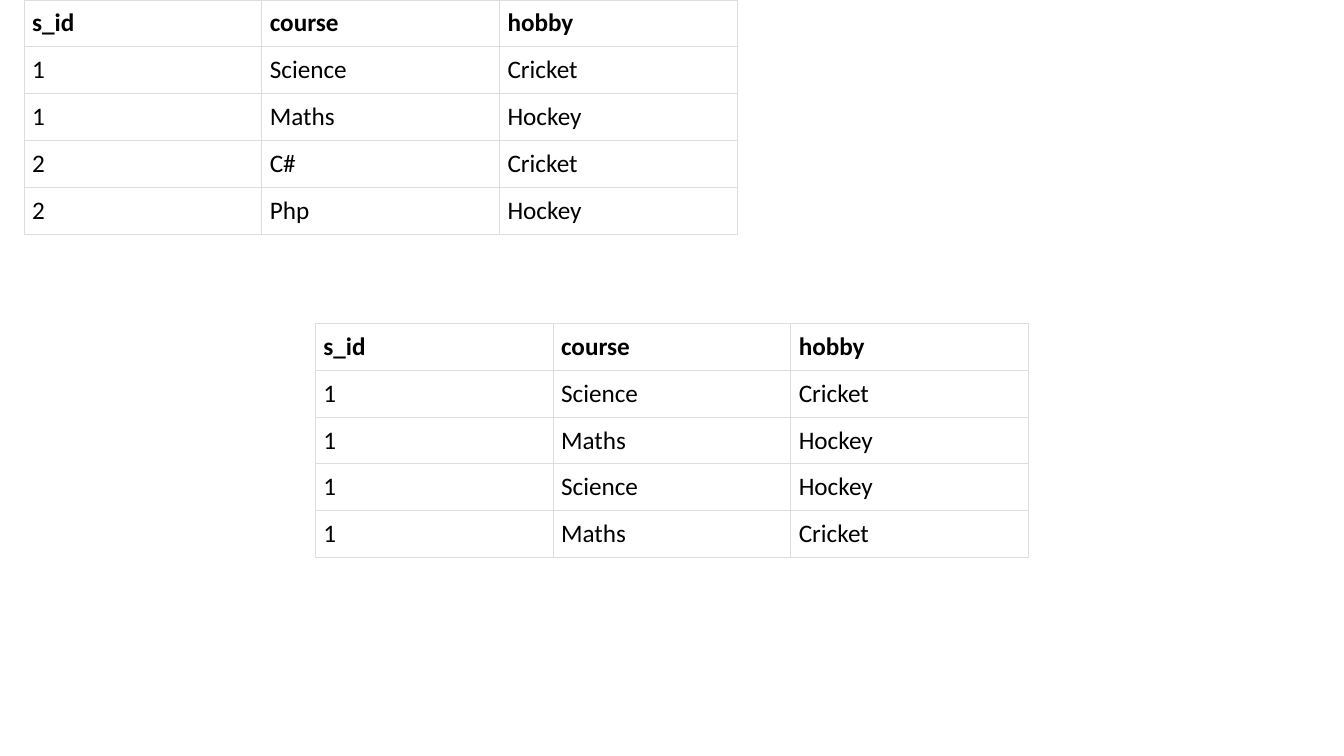
import pptx
import pptx.dml.color
import pptx.oxml.ns
import pptx.util
import lxml.etree

Cm = pptx.util.Cm
Pt = pptx.util.Pt
BLACK = pptx.dml.color.RGBColor(0x00, 0x00, 0x00)
WHITE = pptx.dml.color.RGBColor(0xFF, 0xFF, 0xFF)
BORDER_GRAY = pptx.dml.color.RGBColor(0xDD, 0xDD, 0xDD)

COLUMN_WIDTH = Cm(5.99)
ROW_HEIGHT = Cm(1.18)
CELL_MARGIN = Cm(0.2)

HEADER = ("s_id", "course", "hobby")
STORED_ROWS = (
    ("1", "Science", "Cricket"),
    ("1", "Maths", "Hockey"),
    ("2", "C#", "Cricket"),
    ("2", "Php", "Hockey"),
)
COMBINED_ROWS = (
    ("1", "Science", "Cricket"),
    ("1", "Maths", "Hockey"),
    ("1", "Science", "Hockey"),
    ("1", "Maths", "Cricket"),
)


def add_borders(cell):
    qn = pptx.oxml.ns.qn
    properties = cell._tc.get_or_add_tcPr()
    for side in ("a:lnL", "a:lnR", "a:lnT", "a:lnB"):
        line = lxml.etree.SubElement(properties, qn(side), w=str(Pt(0.75)))
        fill = lxml.etree.SubElement(line, qn("a:solidFill"))
        lxml.etree.SubElement(fill, qn("a:srgbClr"), val=str(BORDER_GRAY))


def fill_cell(cell, text, bold):
    add_borders(cell)
    cell.fill.solid()
    cell.fill.fore_color.rgb = WHITE
    cell.margin_left = cell.margin_right = CELL_MARGIN
    cell.margin_top = cell.margin_bottom = CELL_MARGIN
    run = cell.text_frame.paragraphs[0].add_run()
    run.text = text
    run.font.name = "Calibri"
    run.font.size = Pt(18)
    run.font.bold = bold
    run.font.color.rgb = BLACK


def add_course_table(slide, left, top, body_rows):
    rows = (HEADER, *body_rows)
    frame = slide.shapes.add_table(
        len(rows), len(HEADER), left, top,
        COLUMN_WIDTH * len(HEADER), ROW_HEIGHT * len(rows))
    table = frame.table
    table.horz_banding = False
    for column in table.columns:
        column.width = COLUMN_WIDTH
    for row_index, values in enumerate(rows):
        table.rows[row_index].height = ROW_HEIGHT
        for column_index, text in enumerate(values):
            fill_cell(table.cell(row_index, column_index), text, row_index == 0)


def main():
    presentation = pptx.Presentation()
    presentation.slide_width = Cm(33.87)
    presentation.slide_height = Cm(19.05)
    slide = presentation.slides.add_slide(presentation.slide_layouts[6])
    add_course_table(slide, Cm(0.61), Cm(0), STORED_ROWS)
    add_course_table(slide, Cm(7.95), Cm(8.15), COMBINED_ROWS)
    presentation.save("out.pptx")


if __name__ == "__main__":
    main()
